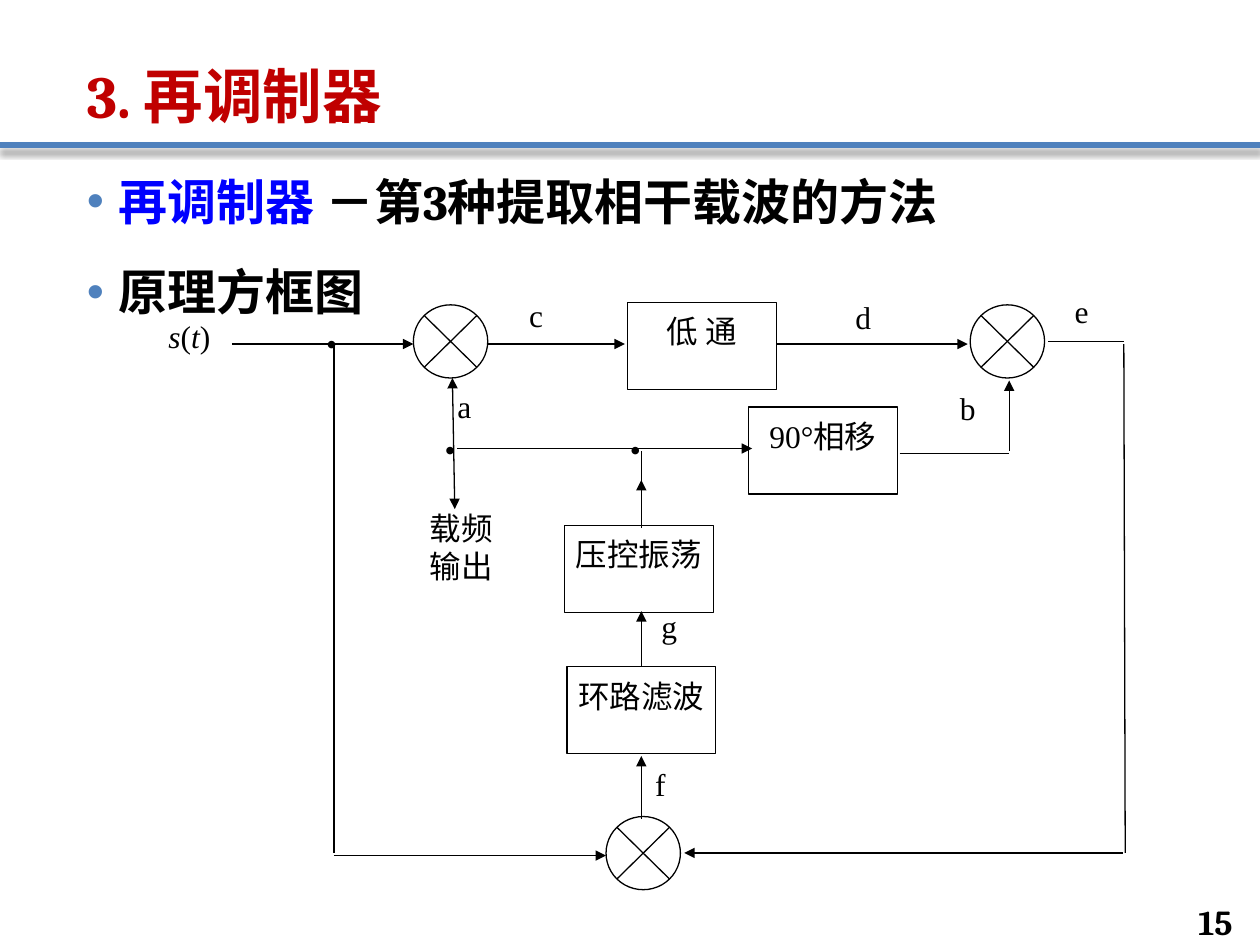
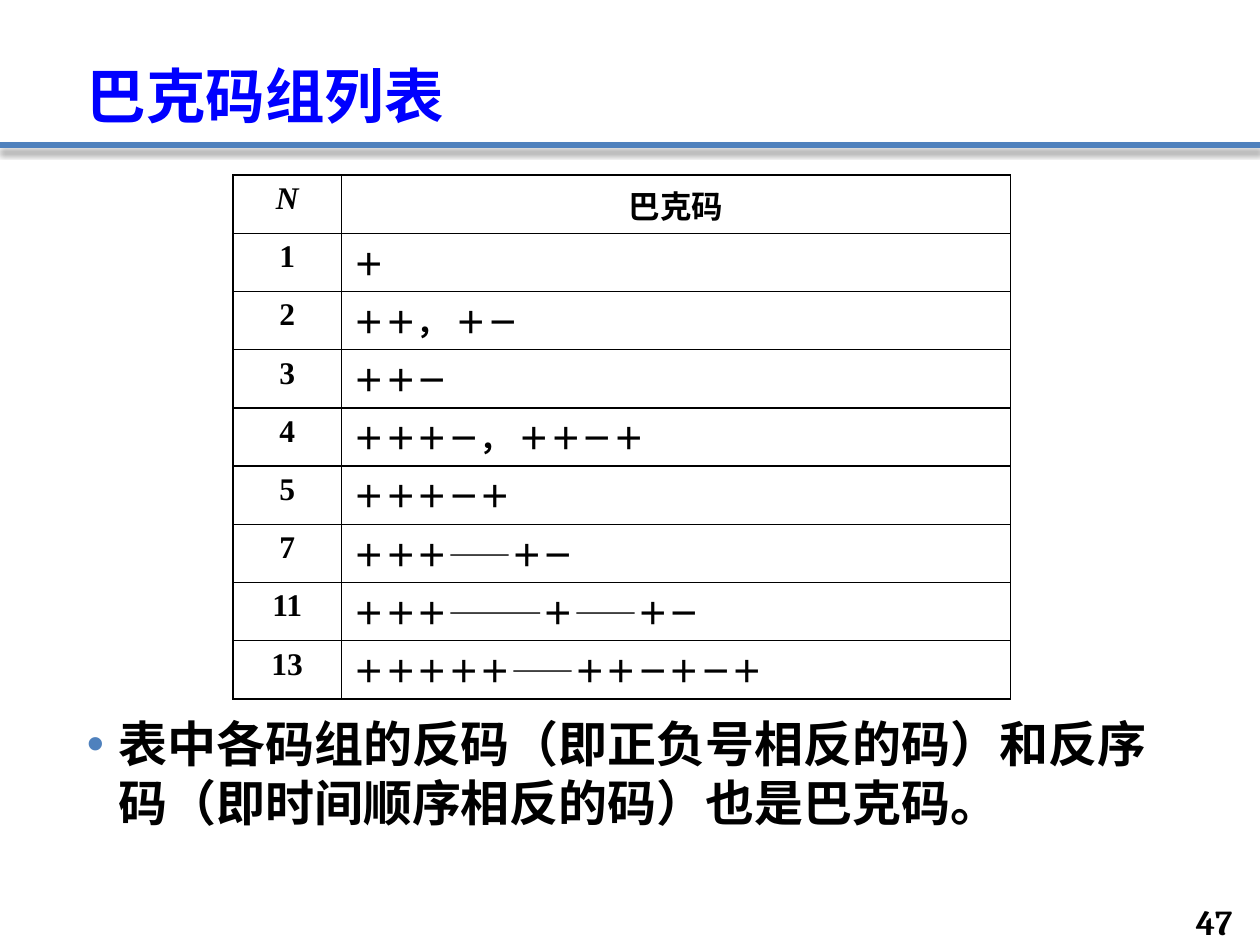
from lxml.etree import SubElement
from pptx import Presentation
from pptx.dml.color import RGBColor
from pptx.enum.shapes import MSO_CONNECTOR, MSO_SHAPE
from pptx.enum.text import MSO_ANCHOR as Anchor, MSO_AUTO_SIZE, PP_ALIGN as Align
from pptx.oxml.ns import qn
from pptx.util import Pt

BLACK = RGBColor(0x00, 0x00, 0x00)
WHITE = RGBColor(0xFF, 0xFF, 0xFF)
BLUE = RGBColor(0x00, 0x00, 0xFF)
RED = RGBColor(0xC0, 0x00, 0x00)
ACCENT = RGBColor(0x4F, 0x81, 0xBD)
HEADING_FONT, DIAGRAM_FONT = "Cambria", "Times New Roman"

SLIDE_W, SLIDE_H = 720, 540
TITLE_BOX = (42.5, 15, 635, 63.4)
BODY_BOX = (42.5, 94.3, 635, 396.7)
NOTE_BOX = (42.5, 404.4, 635, 86.6)
NUMBER_BOX = (661.7, 516.2, 49.7, 20.2)
DIAGRAM_BOX = (87, 163)
TABLE_BOX = (133.2, 100.1, 444.2, 299.5)
RULE_Y = 82.8

MIXER_SIZE = (42.5, 41.8)
MIXERS = [(149.2, 11.2), (467.4, 11.2), (259.3, 303.6)]
BLOCK_SIZE = (85, 49.7)
BLOCKS = [("低 通", 271.6, 9.8), ("90°相移", 340.7, 69.6),
          ("压控振荡", 235.6, 137.2), ("环路滤波", 237, 217.9)]
SIGNAL_Y, CARRIER_Y, FEEDBACK_Y = 33.6, 93.3, 324.4
BRANCH_X, LOOP_X, PHASE_X = 103.8, 279.5, 489.7
WIRES = [
    (45.5, SIGNAL_Y, 149.2, SIGNAL_Y, "end"),
    (191.6, SIGNAL_Y, 270.1, SIGNAL_Y, "end"),
    (356.5, SIGNAL_Y, 466, SIGNAL_Y, "end"),
    (512, 32.1, 555.2, 32.1, ""),
    (555.2, SIGNAL_Y, 556, FEEDBACK_Y, ""),
    (304, FEEDBACK_Y, 554.5, FEEDBACK_Y, "start"),
    (BRANCH_X, FEEDBACK_Y, BRANCH_X, SIGNAL_Y, ""),
    (BRANCH_X, 325.9, 259.3, 325.9, "end"),
    (171.5, 53, 172.9, 127.9, "start end"),
    (174.4, CARRIER_Y, 342.8, CARRIER_Y, "end"),
    (PHASE_X, 54.4, PHASE_X, 94.8, "start"),
    (427.1, 96.2, PHASE_X, 96.2, ""),
    (LOOP_X, 269, LOOP_X, 305, "start"),
    (LOOP_X, 186.2, LOOP_X, 217.9, "start"),
    (LOOP_X, 111.3, LOOP_X, 138.7, "start"),
    (LOOP_X, 117.1, LOOP_X, 94.8, ""),
]
LABEL_SIZE = (43.9, 41.8)
LABELS = [("•", 160, 78.9), ("•", 92.3, 18.4), ("•", 265.8, 78.9),
          ("a", 167.2, 54.4), ("b", 454.4, 55.9), ("c", 208.2, 2.6),
          ("d", 394.7, 4), ("e", 520, 0.4), ("f", 280.2, 270.4), ("g", 283.8, 180.4)]

BARKER_CODES = [
    ("1", "+"),
    ("2", "++, +-"),
    ("3", "++-"),
    ("4", "+++-, ++-+"),
    ("5", "+++-+"),
    ("7", "+++==+-"),
    ("11", "+++===+==+-"),
    ("13", "+++++==++-+-+"),
]
CODE_SIGNS = {ord("+"): "\uff0b", ord("-"): "\uff0d", ord(","): "\uff0c", ord("="): "\u2015"}


def points(*lengths):
    """Turn plain numbers into point lengths."""
    return [Pt(length) for length in lengths]


def style(paragraph, name, size, color=BLACK, bold=False, align=None):
    """Set the font and alignment of a paragraph."""
    font = paragraph.font
    font.name, font.size, font.bold = name, Pt(size), bold
    font.color.rgb = color
    paragraph.alignment = align


def place(placeholder, box):
    """Move a placeholder to a box and stop it from shrinking its text."""
    placeholder.left, placeholder.top, placeholder.width, placeholder.height = points(*box)
    placeholder.text_frame.auto_size = MSO_AUTO_SIZE.NONE


def add_text(shapes, box, lines, align=Align.JUSTIFY, inset=True):
    """Add a wrapped text box in the diagram font and return its frame."""
    frame = shapes.add_textbox(*points(*box)).text_frame
    frame.word_wrap = True
    if not inset:
        frame.margin_left = frame.margin_right = frame.margin_top = frame.margin_bottom = 0
    frame.text = "\n".join(lines)
    for paragraph in frame.paragraphs:
        style(paragraph, DIAGRAM_FONT, 18, align=align)
    return frame


def add_line(shapes, ends, color, width, arrows=""):
    """Draw a straight line and return its empty effect list."""
    line = shapes.add_connector(MSO_CONNECTOR.STRAIGHT, *points(*ends))
    line.line.color.rgb = color
    line.line.width = Pt(width)
    outline = line.line._get_or_add_ln()
    for end, tag in (("start", "a:headEnd"), ("end", "a:tailEnd")):
        if end in arrows:
            SubElement(outline, qn(tag), type="triangle")
    return SubElement(line._element.spPr, qn("a:effectLst"))


def add_rule(slide):
    """Draw the shaded rule under the title."""
    effects = add_line(slide.shapes, (0, RULE_Y, SLIDE_W, RULE_Y), ACCENT, 3)
    shadow = SubElement(effects, qn("a:outerShdw"), blurRad=str(Pt(4)), dist=str(Pt(3)),
                        dir="5400000", rotWithShape="0")
    shade = SubElement(shadow, qn("a:srgbClr"), val=str(BLACK))
    SubElement(shade, qn("a:alpha"), val="43000")


def add_number(slide, number, box):
    """Write the page number at the lower right."""
    frame = add_text(slide.shapes, box, [number])
    frame.vertical_anchor = Anchor.MIDDLE
    style(frame.paragraphs[0], HEADING_FONT, 20, bold=True, align=Align.RIGHT)


def fill_title(slide, text, color, box):
    """Fill the title placeholder."""
    place(slide.shapes.title, box)
    frame = slide.shapes.title.text_frame
    frame.text = text
    frame.vertical_anchor = Anchor.BOTTOM
    style(frame.paragraphs[0], HEADING_FONT, 34, color, True, Align.LEFT)
    frame.paragraphs[0].line_spacing = 0.9


def fill_body(slide, items, box):
    """Fill the body placeholder with bullets, each a list of (text, color) runs."""
    body = slide.placeholders[1]
    place(body, box)
    frame = body.text_frame
    for index, item in enumerate(items):
        paragraph = frame.add_paragraph() if index else frame.paragraphs[0]
        style(paragraph, HEADING_FONT, 28, bold=True)
        paragraph.space_before = Pt(18)
        for text, color in item:
            run = paragraph.add_run()
            run.text = text
            run.font.color.rgb = color
        properties = paragraph._p.get_or_add_pPr()
        properties.set("marL", str(Pt(18)))
        properties.set("indent", str(-Pt(18)))
        bullet_color = SubElement(properties, qn("a:buClr"))
        SubElement(bullet_color, qn("a:srgbClr"), val=str(ACCENT))
        SubElement(properties, qn("a:buChar"), char="•")
        properties.append(properties.find(qn("a:defRPr")))


def add_part(shapes, kind, box):
    """Add a white diagram part with a thin black outline."""
    part = shapes.add_shape(kind, *points(*box))
    part.shadow.inherit = False
    part.fill.solid()
    part.fill.fore_color.rgb = WHITE
    part.line.color.rgb = BLACK
    part.line.width = Pt(0.75)
    return part


def add_block(shapes, name, box):
    """Add a named processing block."""
    frame = add_part(shapes, MSO_SHAPE.RECTANGLE, box).text_frame
    frame.margin_left = frame.margin_right = frame.margin_bottom = 0
    frame.margin_top = Pt(5.76)
    frame.vertical_anchor = Anchor.TOP
    frame.word_wrap = True
    frame.text = name
    style(frame.paragraphs[0], DIAGRAM_FONT, 18, align=Align.CENTER)


def add_remodulator(slide, origin):
    """Draw the block diagram of the remodulator from its top left corner."""
    left, top = origin
    shapes = slide.shapes.add_group_shape().shapes
    for x, y in MIXERS:
        add_part(shapes, MSO_SHAPE.FLOWCHART_SUMMING_JUNCTION, (left + x, top + y, *MIXER_SIZE))
    for name, x, y in BLOCKS:
        add_block(shapes, name, (left + x, top + y, *BLOCK_SIZE))
    for x1, y1, x2, y2, arrows in WIRES:
        add_line(shapes, (left + x1, top + y1, left + x2, top + y2), BLACK, 0.75, arrows)
    for text, x, y in LABELS:
        add_text(shapes, (left + x, top + y, *LABEL_SIZE), [text])
    add_text(shapes, (left + 158.5, top + 127.9, 50.4, 59.8), ["载频", "输出"], inset=False)
    signal = add_text(shapes, (left, top + 18.4, 42.5, 37.4), [""], Align.CENTER, inset=False)
    for character in "s(t)":
        run = signal.paragraphs[0].add_run()
        run.text = character
        run.font.italic = character.isalpha()


def add_borders(cell):
    """Draw a thin black line on all four sides of a cell."""
    properties = cell._tc.get_or_add_tcPr()
    for side in "LRTB":
        border = SubElement(properties, qn(f"a:ln{side}"), w=str(Pt(1)))
        fill = SubElement(border, qn("a:solidFill"))
        SubElement(fill, qn("a:srgbClr"), val=str(BLACK))


def add_code_table(slide, box):
    """Add the table of Barker codes."""
    rows = [("N", "巴克码")] + [(n, code.translate(CODE_SIGNS)) for n, code in BARKER_CODES]
    table = slide.shapes.add_table(len(rows), 2, *points(*box)).table
    number_width = 61.9
    table.columns[0].width, table.columns[1].width = points(number_width, box[2] - number_width)
    for row, texts in enumerate(rows):
        table.rows[row].height = Pt(box[3] / len(rows))
        for column, text in enumerate(texts):
            cell = table.cell(row, column)
            cell.text = text
            paragraph = cell.text_frame.paragraphs[0]
            centred = row == 0 or column == 0
            style(paragraph, DIAGRAM_FONT, 18, bold=True,
                  align=Align.CENTER if centred else Align.LEFT)
            paragraph.font.italic = text == "N"
            add_borders(cell)
            cell.fill.background()


def add_slide(deck, title, color, number):
    """Add a slide with the shared rule, title and page number."""
    slide = deck.slides.add_slide(deck.slide_layouts[1])
    add_rule(slide)
    fill_title(slide, title, color, TITLE_BOX)
    add_number(slide, number, NUMBER_BOX)
    return slide


def build():
    """Build and save the deck."""
    deck = Presentation()
    deck.slide_width, deck.slide_height = points(SLIDE_W, SLIDE_H)

    remodulator = add_slide(deck, "3. 再调制器", RED, "15")
    fill_body(remodulator, [
        [("再调制器 ", BLUE), ("\uff0d第3种提取相干载波的方法", BLACK)],
        [("原理方框图", BLACK)],
    ], BODY_BOX)
    add_remodulator(remodulator, DIAGRAM_BOX)

    barker = add_slide(deck, "巴克码组列表", BLUE, "47")
    note = ("表中各码组的反码\uff08即正负号相反的码\uff09和反序码"
            "\uff08即时间顺序相反的码\uff09也是巴克码。")
    fill_body(barker, [[(note, BLACK)]], NOTE_BOX)
    add_code_table(barker, TABLE_BOX)

    deck.save("out.pptx")


build()
